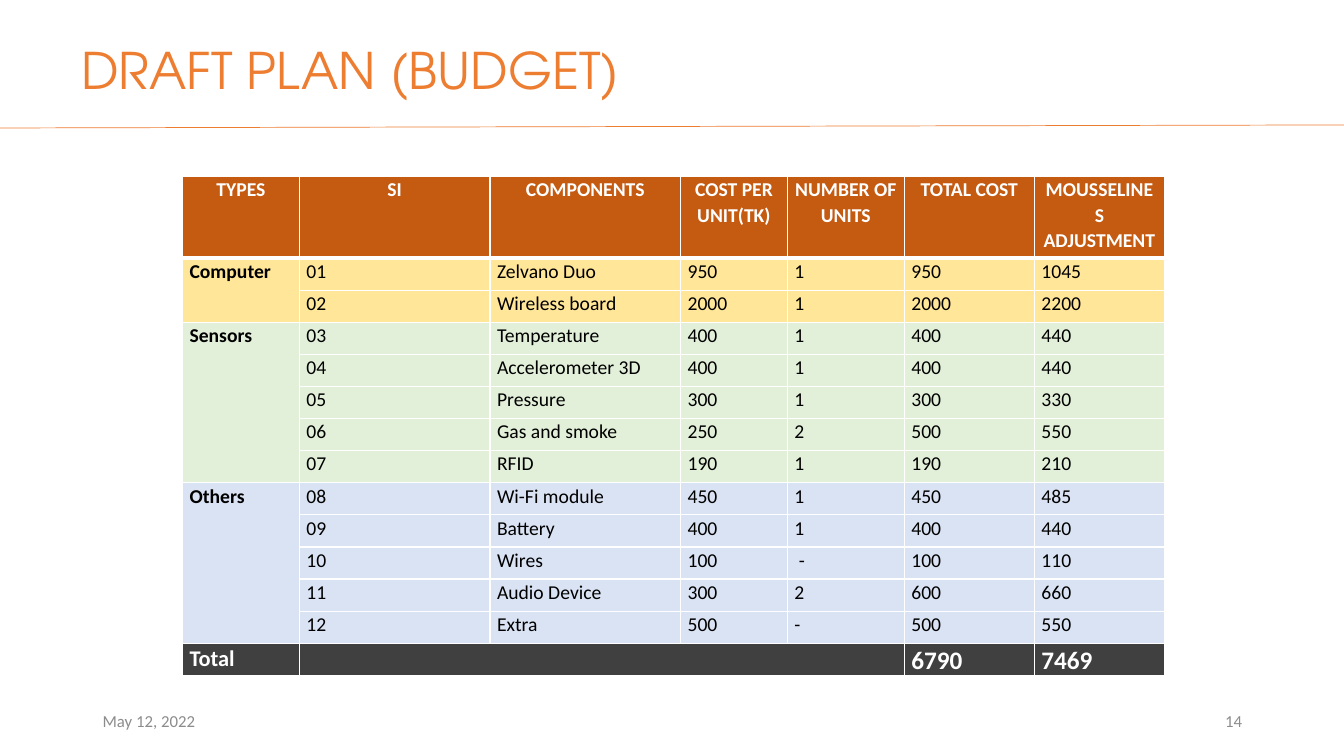
from lxml.etree import SubElement
from pptx import Presentation
from pptx.dml.color import RGBColor
from pptx.enum.shapes import MSO_CONNECTOR
from pptx.enum.text import MSO_ANCHOR, MSO_AUTO_SIZE, PP_ALIGN
from pptx.oxml.ns import qn
from pptx.util import Inches, Pt

ORANGE, GREY, WHITE, BLACK = "ED7D31", "8C8C8C", "FFFFFF", "000000"
HEADER_FILL, TOTAL_FILL = "C55A11", "404040"

HEADINGS = ["TYPES", "SI", "COMPONENTS", "COST PER UNIT(TK)",
            "NUMBER OF UNITS", "TOTAL COST", "MOUSSELINES ADJUSTMENT"]
# Type, fill, and its components: name, unit cost, units, total, adjusted
GROUPS = [
    ("Computer", "FFE699", [
        ("Zelvano Duo", "950", "1", "950", "1045"),
        ("Wireless board", "2000", "1", "2000", "2200")]),
    ("Sensors", "E2F0D9", [
        ("Temperature", "400", "1", "400", "440"),
        ("Accelerometer 3D", "400", "1", "400", "440"),
        ("Pressure", "300", "1", "300", "330"),
        ("Gas and smoke", "250", "2", "500", "550"),
        ("RFID", "190", "1", "190", "210")]),
    ("Others", "DAE3F3", [
        ("Wi-Fi module", "450", "1", "450", "485"),
        ("Battery", "400", "1", "400", "440"),
        ("Wires", "100", " -", "100", "110"),
        ("Audio Device", "300", "2", "600", "660"),
        ("Extra", "500", "-", "500", "550")]),
]
# Shares of the slide's width and height, in percent
COLUMN_WIDTHS = [8.7, 14.18, 14.18, 7.95, 8.7, 9.68, 9.68]
HEADER_HEIGHT, ROW_HEIGHT = 10.8, 4.25


def color(hex_string):
    return RGBColor.from_string(hex_string)


class BudgetSlide:
    """Holds the style and the slide; places are percent of the slide's size."""
    title_font, body_font = "TeX Gyre Adventor", "Calibri"

    def __init__(self, presentation):
        self.width = presentation.slide_width
        self.height = presentation.slide_height
        self.slide = presentation.slides.add_slide(presentation.slide_layouts[6])

    def x(self, share):
        return round(self.width * share / 100)

    def y(self, share):
        return round(self.height * share / 100)

    def box(self, left, top, width, height):
        return self.x(left), self.y(top), self.x(width), self.y(height)

    def style(self, paragraph, size, ink, bold=False, font=body_font,
              align=PP_ALIGN.LEFT):
        paragraph.alignment = align
        for run in paragraph.runs:
            run.font.name, run.font.size, run.font.bold = font, Pt(size), bold
            run.font.color.rgb = color(ink)

    def text(self, words, place, size, ink, anchor=MSO_ANCHOR.MIDDLE,
             fit=MSO_AUTO_SIZE.NONE, **style):
        text_frame = self.slide.shapes.add_textbox(*self.box(*place)).text_frame
        text_frame.word_wrap = True
        text_frame.auto_size = fit
        text_frame.vertical_anchor = anchor
        text_frame.text = words
        self.style(text_frame.paragraphs[0], size, ink, **style)

    def line(self, start, end, ink, weight):
        connector = self.slide.shapes.add_connector(
            MSO_CONNECTOR.STRAIGHT, self.x(start[0]), self.y(start[1]),
            self.x(end[0]), self.y(end[1]))
        connector.line.color.rgb = color(ink)
        connector.line.width = Pt(weight)
        SubElement(connector._element.spPr, qn("a:effectLst"))

    def table(self, left, top, widths, heights):
        place = self.box(left, top, sum(widths), sum(heights))
        table = self.slide.shapes.add_table(len(heights), len(widths), *place).table
        table.first_row = table.horz_banding = False
        for column, width in zip(table.columns, widths):
            column.width = self.x(width)
        for row, height in zip(table.rows, heights):
            row.height = self.y(height)
        return table

    def borders(self, cell, **weights):
        properties = cell._tc.get_or_add_tcPr()
        for side in "LRTB":
            edge = SubElement(properties, qn(f"a:ln{side}"),
                              w=str(Pt(weights.get(side, 1))))
            fill = SubElement(edge, qn("a:solidFill"))
            SubElement(fill, qn("a:srgbClr"), val=WHITE)

    def cell(self, cell, words, fill, size=14, ink=BLACK, edges=None, **style):
        cell.margin_left = cell.margin_right = Inches(0.07)
        cell.margin_top = cell.margin_bottom = 0
        self.borders(cell, **(edges or {}))
        cell.fill.solid()
        cell.fill.fore_color.rgb = color(fill)
        cell.text = words
        paragraph = cell.text_frame.paragraphs[0]
        paragraph.line_spacing = 1.07
        self.style(paragraph, size, ink, **style)

    def budget(self, left, top):
        count = sum(len(items) for _, _, items in GROUPS)
        last = count + 1
        table = self.table(left, top, COLUMN_WIDTHS,
                           [HEADER_HEIGHT] + [ROW_HEIGHT] * last)

        # Header row
        for column, heading in enumerate(HEADINGS):
            self.cell(table.cell(0, column), heading, HEADER_FILL, ink=WHITE,
                      edges={"B": 3}, bold=True, align=PP_ALIGN.CENTER)

        # Component rows, numbered through all groups
        row = 1
        for kind, fill, items in GROUPS:
            first = row
            for item in items:
                label = kind if row == first else ""
                edges = {"T": 3} if row == 1 else None
                for column, words in enumerate([label, f"{row:02}", *item]):
                    self.cell(table.cell(row, column), words, fill,
                              edges=edges, bold=column == 0)
                row += 1
            table.cell(first, 0).merge(table.cell(row - 1, 0))

        # Total row
        for column, words in enumerate(["Total", "", "", "", "", "6790", "7469"]):
            self.cell(table.cell(last, column), words, TOTAL_FILL,
                      size=18 if column else 16, ink=WHITE, bold=True)
        table.cell(last, 1).merge(table.cell(last, 4))


def main():
    presentation = Presentation()
    presentation.slide_width, presentation.slide_height = Inches(13.33), Inches(7.5)
    page = BudgetSlide(presentation)

    # Footer
    page.text("May 12, 2022", (6.9, 92.67, 22.5, 5.33), 12, GREY)
    page.text("14", (70.67, 92.67, 22.5, 5.33), 12, GREY, align=PP_ALIGN.RIGHT)

    # Title and rule
    page.text("DRAFT PLAN (BUDGET)", (5.33, 4.53, 82.97, 9.47), 36, ORANGE,
              anchor=MSO_ANCHOR.TOP, fit=MSO_AUTO_SIZE.SHAPE_TO_FIT_TEXT,
              font=page.title_font)
    page.line((0, 16.93), (100, 16.53), ORANGE, 0.5)

    # Budget table
    page.budget(13.58, 23.33)
    presentation.save("out.pptx")


if __name__ == "__main__":
    main()
